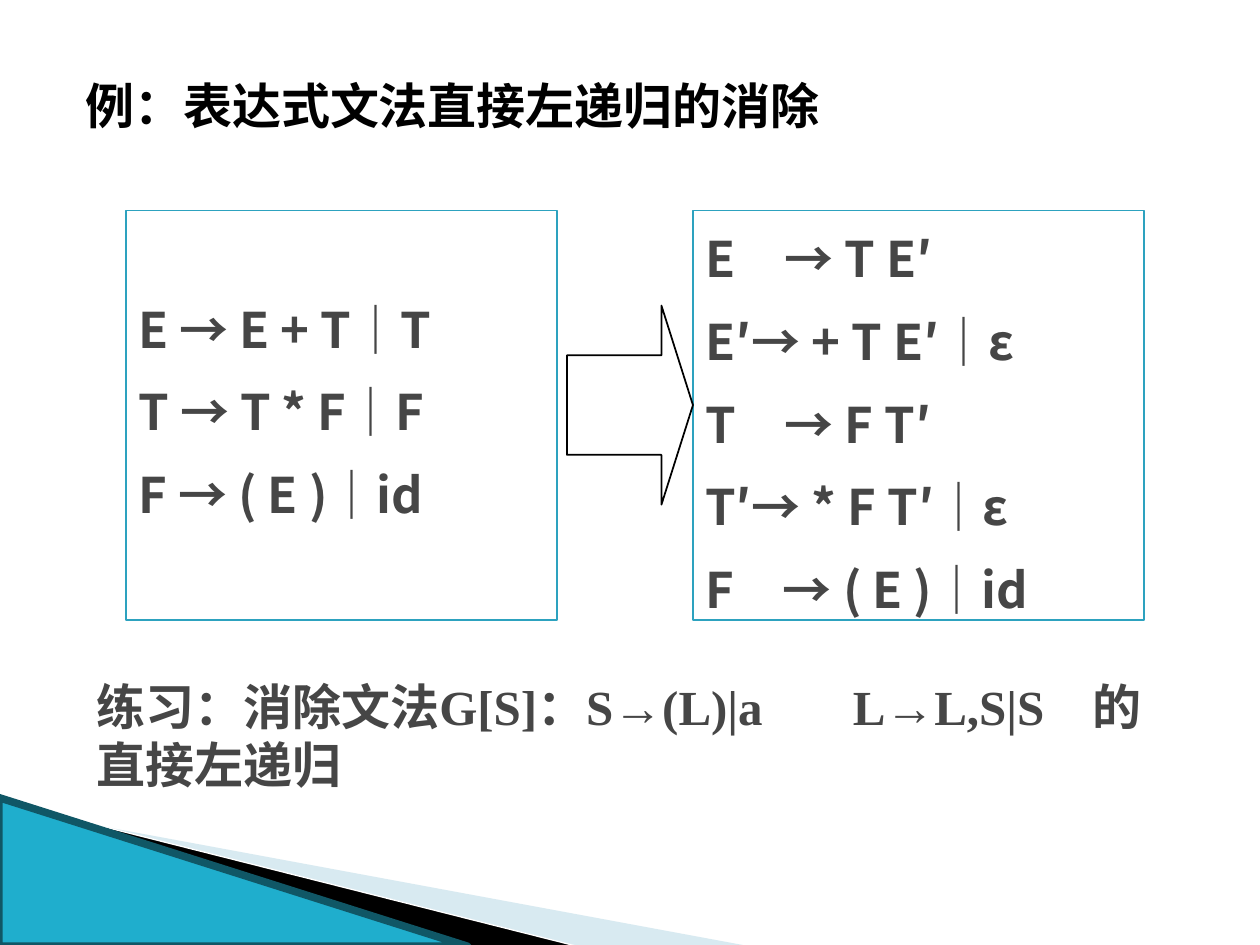
from lxml.etree import SubElement
from pptx import Presentation
from pptx.dml.color import RGBColor
from pptx.enum.shapes import MSO_SHAPE as Preset
from pptx.enum.text import MSO_ANCHOR as Anchor, PP_ALIGN as Align
from pptx.oxml.ns import qn
from pptx.util import Inches, Pt

WIDTH, HEIGHT = 10, 7.5
SANS, SERIF = "Noto Sans CJK SC", "Times New Roman"
SIZE = 28
COLORS = {
    "ink": "000000", "text": "464646", "frame": "2DA2BF", "white": "FFFFFF",
    "pale": "9FCBDC", "teal": "1FAECD", "edge": "105766",
}

TITLE = "例：表达式文法直接左递归的消除"
EXERCISE = "练习：消除文法G[S]：S→(L)|a\tL→L,S|S\t的直接左递归"
EXERCISE_TABS = [6, 7.9]
# left, width, top inset, rules
GRAMMARS = [
    (1, 3.42, 0.61, ["E → E + T｜T", "T → T * F｜F", "F → ( E )｜id"]),
    (5.5, 3.58, 0.05, ["E　→ T E′", "E′→ + T E′｜ε", "T　→ F T′",
                       "T′→ * F T′｜ε", "F　→ ( E )｜id"]),
]
GRAMMAR_TOP, GRAMMAR_HEIGHT = 1.67, 3.25
ARROW_WIDTH, ARROW_HEIGHT = 1, 1.58
PALE_RAY = [(0.55, 6.51), (5.95, 7.51), (4.56, 7.51), (0.55, 6.5)]
DARK_RAY = [(0.58, 6.5), (4.62, 7.52), (3.77, 7.52), (0.59, 6.51)]


def color(name):
    return RGBColor.from_string(COLORS[name])


def paint(shape, fill=None, line=None, weight=0.75):
    shape.shadow.inherit = False
    if fill:
        shape.fill.solid()
        shape.fill.fore_color.rgb = color(fill)
    else:
        shape.fill.background()
    if line:
        shape.line.color.rgb = color(line)
        shape.line.width = Pt(weight)
    else:
        shape.line.fill.background()
    return shape


def add_preset(slide, preset, *place):
    return slide.shapes.add_shape(preset, *map(Inches, place))


def add_ray(slide, points):
    start, *rest = [(Inches(x), Inches(y)) for x, y in points]
    builder = slide.shapes.build_freeform(*start)
    builder.add_line_segments(rest)
    return builder.convert_to_shape()


def write(shape, lines, ink="text", font=SANS, top=0.05, anchor=Anchor.TOP,
          spacing=1.0, gap=0, tabs=()):
    """Put one bold paragraph per line into the shape."""
    frame = shape.text_frame
    frame.word_wrap = True
    frame.vertical_anchor = anchor
    frame.margin_top = Inches(top)
    for index, line in enumerate(lines):
        para = frame.add_paragraph() if index else frame.paragraphs[0]
        para.alignment = Align.LEFT
        para.line_spacing = spacing
        para.space_before = Pt(gap if index else 0)
        if tabs:
            stops = SubElement(para._p.get_or_add_pPr(), qn("a:tabLst"))
            for stop in tabs:
                SubElement(stops, qn("a:tab"), pos=str(Inches(stop)), algn="l")
        span = para.add_run()
        span.text = line
        span.font.name, span.font.size, span.font.bold = font, Pt(SIZE), True
        span.font.color.rgb = color(ink)
        latin = span._r.rPr.find(qn("a:latin"))
        latin.addnext(latin.makeelement(qn("a:ea"), {"typeface": SANS}))


def add_corner(slide):
    pale = paint(add_ray(slide, PALE_RAY), "pale")
    tint = pale.fill._xPr.find(qn("a:solidFill"))[0]
    SubElement(tint, qn("a:alpha"), val="40000")
    paint(add_ray(slide, DARK_RAY), "ink", "white")
    triangle = add_preset(slide, Preset.RIGHT_TRIANGLE, -0.01, 6.33, 3.72, 1.18)
    paint(triangle, "teal", "edge", 4.34)


def add_text(slide, place, lines, **style):
    write(slide.shapes.add_textbox(*map(Inches, place)), lines, **style)


def main():
    deck = Presentation()
    deck.slide_width, deck.slide_height = Inches(WIDTH), Inches(HEIGHT)
    slide = deck.slides.add_slide(deck.slide_layouts[6])
    add_corner(slide)
    add_text(slide, (0.58, 0.5, 8.5, 0.67), [TITLE], ink="ink", anchor=Anchor.MIDDLE)

    for left, width, top, rules in GRAMMARS:
        box = add_preset(slide, Preset.RECTANGLE, left, GRAMMAR_TOP, width, GRAMMAR_HEIGHT)
        write(paint(box, line="frame"), rules, top=top, spacing=1.2, gap=7)

    arrow_left = GRAMMARS[1][0] - ARROW_WIDTH
    arrow_top = GRAMMAR_TOP + (GRAMMAR_HEIGHT - ARROW_HEIGHT) / 2 - 0.08
    arrow = add_preset(slide, Preset.RIGHT_ARROW, arrow_left, arrow_top,
                       ARROW_WIDTH, ARROW_HEIGHT)
    arrow.adjustments[0], arrow.adjustments[1] = 0.5, 0.25
    paint(arrow, "white", "ink", 1)

    add_text(slide, (0.67, 5.32, 8.5, 1.04), [EXERCISE], font=SERIF, top=0.06,
             spacing=Pt(33), tabs=EXERCISE_TABS)
    deck.save("out.pptx")


if __name__ == "__main__":
    main()
